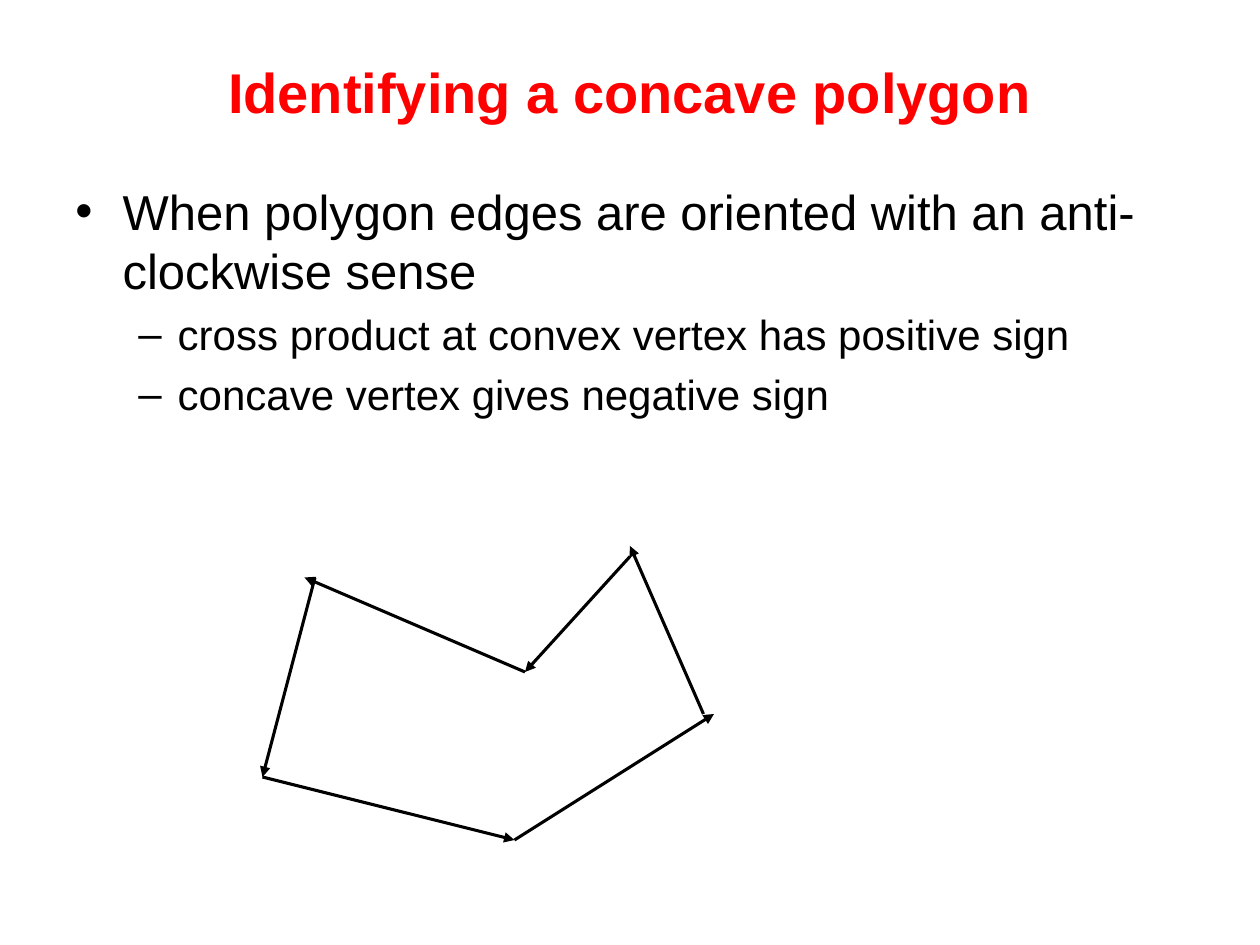
from lxml import etree
from pptx import Presentation
from pptx.dml.color import RGBColor
from pptx.enum import shapes, text
from pptx.oxml.ns import qn
from pptx.util import Pt

FONT = "Arial"
BLACK, RED = "000000", "FF0000"
TITLE = "Identifying a concave polygon"
# level, wording
POINTS = [
    (0, "When polygon edges are oriented with an anti-clockwise sense"),
    (1, "cross product at convex vertex has positive sign"),
    (1, "concave vertex gives negative sign"),
]
# bullet, text size, left margin, hanging indent
LEVELS = [("•", 28, 27, 27), ("–", 24, 58.5, 22.5)]
# start and end of each edge, relative to the polygon's box
EDGES = [
    ((144, 168), (258, 96)),
    ((252, 96), (210, 0)),
    ((210, 6), (150, 72)),
    ((150, 72), (24, 18)),
    ((30, 18), (0, 132)),
    ((0, 132), (144, 168)),
]


def color(code):
    return RGBColor.from_string(code)


def style(run, code, **fmt):
    run.font.color.rgb = color(code)
    for key, val in {"name": FONT, **fmt}.items():
        setattr(run.font, key, val)


def frame(slide, box, anchor):
    tf = slide.shapes.add_textbox(*map(Pt, box)).text_frame
    for key, val in {"word_wrap": True, "vertical_anchor": anchor}.items():
        setattr(tf, key, val)
    return tf


def heading(slide, box):
    para = frame(slide, box, text.MSO_ANCHOR.MIDDLE).paragraphs[0]
    para.alignment = text.PP_ALIGN.CENTER
    run = para.add_run()
    run.text = TITLE
    style(run, RED, size=Pt(32), bold=True)


def bullets(slide, box):
    tf = frame(slide, box, text.MSO_ANCHOR.TOP)
    for i, (level, words) in enumerate(POINTS):
        mark, size, left, hang = LEVELS[level]
        para = tf.add_paragraph() if i else tf.paragraphs[0]
        para.level = level
        para.space_before = Pt(0.23 * size)
        props = para._p.get_or_add_pPr()
        props.set("marL", str(Pt(left)))
        props.set("indent", str(-Pt(hang)))
        etree.SubElement(props, qn("a:buFont")).set("typeface", FONT)
        etree.SubElement(props, qn("a:buChar")).set("char", mark)
        run = para.add_run()
        run.text = words
        style(run, BLACK, size=Pt(size))


def arrow(slide, start, end):
    edge = slide.shapes.add_connector(
        shapes.MSO_CONNECTOR.STRAIGHT, *map(Pt, start + end))
    edge.line.color.rgb = color(BLACK)
    edge.line.width = Pt(1.75)
    tip = etree.SubElement(edge.line._get_or_add_ln(), qn("a:tailEnd"))
    tip.set("type", "triangle")
    etree.SubElement(edge._element.spPr, qn("a:effectLst"))


def polygon(slide, left, top):
    for edge in EDGES:
        arrow(slide, *((left + x, top + y) for x, y in edge))


def main():
    deck = Presentation()
    deck.slide_width, deck.slide_height = Pt(720), Pt(540)
    slide = deck.slides.add_slide(deck.slide_layouts[6])
    heading(slide, (36, 21.6, 648, 61.2))
    bullets(slide, (36, 100, 648, 382))
    polygon(slide, 150, 312)
    deck.save("out.pptx")


if __name__ == "__main__":
    main()
